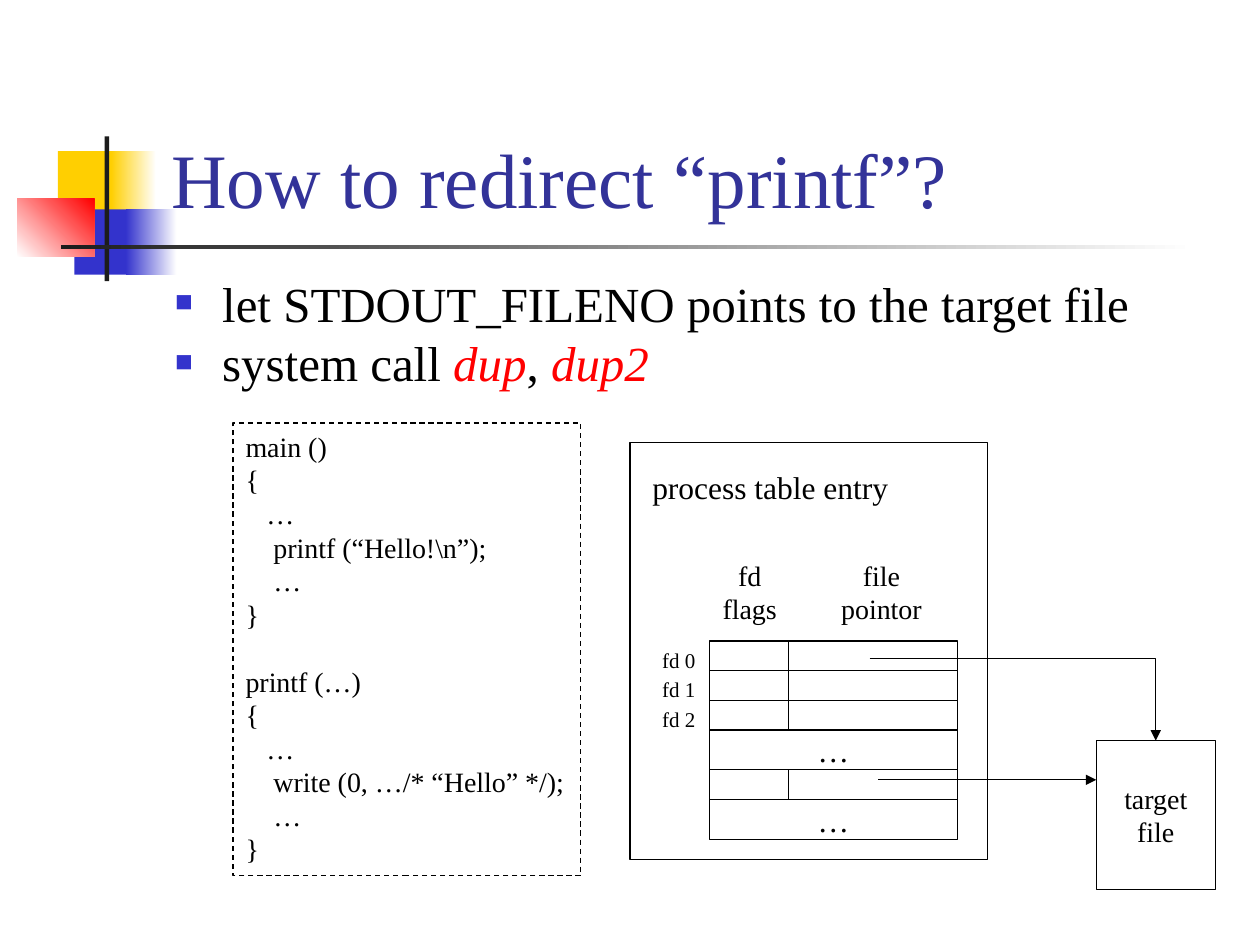
from lxml import etree
from pptx import Presentation
from pptx import util as u
from pptx.dml.color import RGBColor
from pptx.enum import dml, shapes, text
from pptx.oxml.ns import qn

COLORS = {"black": "000000", "white": "FFFFFF", "gold": "FFCF01", "blue": "3333CC",
          "red": "FF0000", "dark": "1C1C1C", "title": "333399"}
FONT = "Times New Roman"
LEFT, CENTER = text.PP_ALIGN.LEFT, text.PP_ALIGN.CENTER
TOP, MIDDLE = text.MSO_ANCHOR.TOP, text.MSO_ANCHOR.MIDDLE


def rgb(name):
    return RGBColor.from_string(COLORS[name])


def add_box(parent, place, lines=(), size=16, align=LEFT, anchor=TOP, outlined=True):
    """Add an unfilled rectangle or a plain text box with one paragraph per line."""
    place = [u.Cm(value) for value in place]
    if outlined:
        box = parent.add_shape(shapes.MSO_SHAPE.RECTANGLE, *place)
        box.shadow.inherit = False
        box.fill.background()
        box.line.color.rgb = rgb("black")
        box.line.width = u.Pt(0.75)
    else:
        box = parent.add_textbox(*place)
    frame = box.text_frame
    frame.word_wrap = False
    frame.vertical_anchor = anchor
    for number, line in enumerate(lines):
        para = frame.add_paragraph() if number else frame.paragraphs[0]
        para.alignment = align
        span = para.add_run()
        span.text = line
        for key, value in {"name": FONT, "size": u.Pt(size)}.items():
            setattr(span.font, key, value)
        span.font.color.rgb = rgb("black")
    return box


deck = Presentation()
deck.slide_width, deck.slide_height = u.Cm(25.4), u.Cm(19.05)
page = deck.slides.add_slide(deck.slide_layouts[5])

# Decoration: solid blocks and two-colour fades
decoration = [
    ((1.17, 3.05, 1.22, 1.32), ["gold"], 0),
    ((2.24, 3.05, 0.91, 1.32), ["gold", "white"], 0),
    ((1.5, 4.22, 1.17, 1.32), ["blue"], 0),
    ((2.54, 4.22, 1.02, 1.32), ["blue", "white"], 0),
    ((0.35, 4.01, 1.55, 1.17), ["white", "red"], 45),
    ((2.11, 2.75, 0.09, 2.92), ["dark"], 0),
    ((1.23, 4.94, 22.86, 0.09), ["dark", "white"], 0),
]
for place, fades, angle in decoration:
    block = page.shapes.add_shape(shapes.MSO_SHAPE.RECTANGLE, *[u.Cm(v) for v in place])
    block.shadow.inherit = False
    block.line.fill.background()
    if len(fades) == 1:
        block.fill.solid()
        block.fill.fore_color.rgb = rgb(fades[0])
    else:
        block.fill.gradient()
        block.fill.gradient_angle = angle
        for stop, name, position in zip(block.fill.gradient_stops, fades, (0, 1)):
            stop.color.rgb = rgb(name)
            stop.position = position

# Title, kept in front of the decoration
title = page.shapes.title
for key, value in {"left": 3.2, "top": 0.58, "width": 21.64, "height": 4.06}.items():
    setattr(title, key, u.Cm(value))
title.text_frame.text = "How to redirect “printf”?"
title.text_frame.vertical_anchor = text.MSO_ANCHOR.BOTTOM
para = title.text_frame.paragraphs[0]
para.alignment = LEFT
for key, value in {"name": FONT, "size": u.Pt(44)}.items():
    setattr(para.runs[0].font, key, value)
para.runs[0].font.color.rgb = rgb("title")
page.shapes._spTree.append(title._element)

# Bullet list
bullets = [
    [("let STDOUT_FILENO points to the target file", False)],
    [("system call ", False), ("dup", True), (", ", False), ("dup2", True)],
]
body = page.shapes.add_textbox(u.Cm(3.28), u.Cm(5.61), u.Cm(21.59), u.Cm(2.51))
body.text_frame.word_wrap = True
for number, spans in enumerate(bullets):
    para = body.text_frame.add_paragraph() if number else body.text_frame.paragraphs[0]
    para.line_spacing = 0.8
    para.space_before = u.Pt(7 if number else 0)
    props = para._p.get_or_add_pPr()
    props.set("marL", str(u.Cm(0.95)))
    props.set("indent", str(u.Cm(-0.95)))
    bullet_color = etree.SubElement(props, qn("a:buClr"))
    etree.SubElement(bullet_color, qn("a:srgbClr"), val=COLORS["blue"])
    etree.SubElement(props, qn("a:buSzPct"), val="60000")
    etree.SubElement(props, qn("a:buFont"), typeface=FONT)
    etree.SubElement(props, qn("a:buChar"), char="■")
    for words, is_call in spans:
        span = para.add_run()
        span.text = words
        for key, value in {"name": FONT, "size": u.Pt(28), "italic": is_call}.items():
            setattr(span.font, key, value)
        span.font.color.rgb = rgb("red" if is_call else "black")

# Code listing
code_lines = [
    "main ()", "{", "   …", "    printf (“Hello!\\n”);", "    …", "}",
    "printf (…)", "{", "   …", "    write (0, …/* “Hello” */);", "    …", "}",
]
code = add_box(page.shapes, (4.7, 8.53, 7.01, 9.12), code_lines)
code.line.dash_style = dml.MSO_LINE.DASH
code.text_frame.paragraphs[6].space_before = u.Pt(19)

# Process table entry: frame and headings
entry = page.shapes.add_group_shape().shapes
add_box(entry, (12.7, 8.92, 7.21, 8.41))
add_box(entry, (12.9, 9.32, 5.28, 1.02), ["process table entry"], 18, outlined=False)
add_box(entry, (14.3, 11.13, 1.63, 1.63), ["fd", "flags"], align=CENTER, outlined=False)
add_box(entry, (16.69, 11.13, 2.16, 1.63), ["file", "pointor"], align=CENTER, outlined=False)

# Descriptor rows: split rows have two cells, the others one wide cell
table_left, flag_width, pointer_width = 14.3, 1.6, 3.4
row_top = 12.92
for label in ["fd 0", "fd 1", "fd 2", "…", "", "…"]:
    if label == "…":
        row_height = 0.8
        add_box(entry, (table_left, row_top, flag_width + pointer_width, row_height),
                [label], 18, CENTER, MIDDLE)
    else:
        row_height = 0.6
        add_box(entry, (table_left, row_top, flag_width, row_height))
        add_box(entry, (table_left + flag_width, row_top, pointer_width, row_height))
        if label:
            add_box(entry, (13.1, row_top, 1.2, 0.77), [label], 12, outlined=False)
    row_top += row_height

# Target file and the pointers to it
add_box(page.shapes, (22.1, 14.93, 2.4, 3), ["target", "file"], 16, CENTER, MIDDLE)
pointers = [
    (shapes.MSO_CONNECTOR.ELBOW, (17.53, 13.28, 23.3, 14.93)),
    (shapes.MSO_CONNECTOR.STRAIGHT, (17.7, 15.72, 22.1, 15.72)),
]
for kind, ends in pointers:
    pointer = page.shapes.add_connector(kind, *[u.Cm(v) for v in ends])
    pointer.line.color.rgb = rgb("black")
    pointer.line.width = u.Pt(0.75)
    props = pointer._element.spPr
    if kind == shapes.MSO_CONNECTOR.ELBOW:
        props.find(qn("a:prstGeom")).set("prst", "bentConnector2")
    etree.SubElement(props.find(qn("a:ln")), qn("a:tailEnd"), type="triangle")
    etree.SubElement(props, qn("a:effectLst"))

deck.save("out.pptx")
